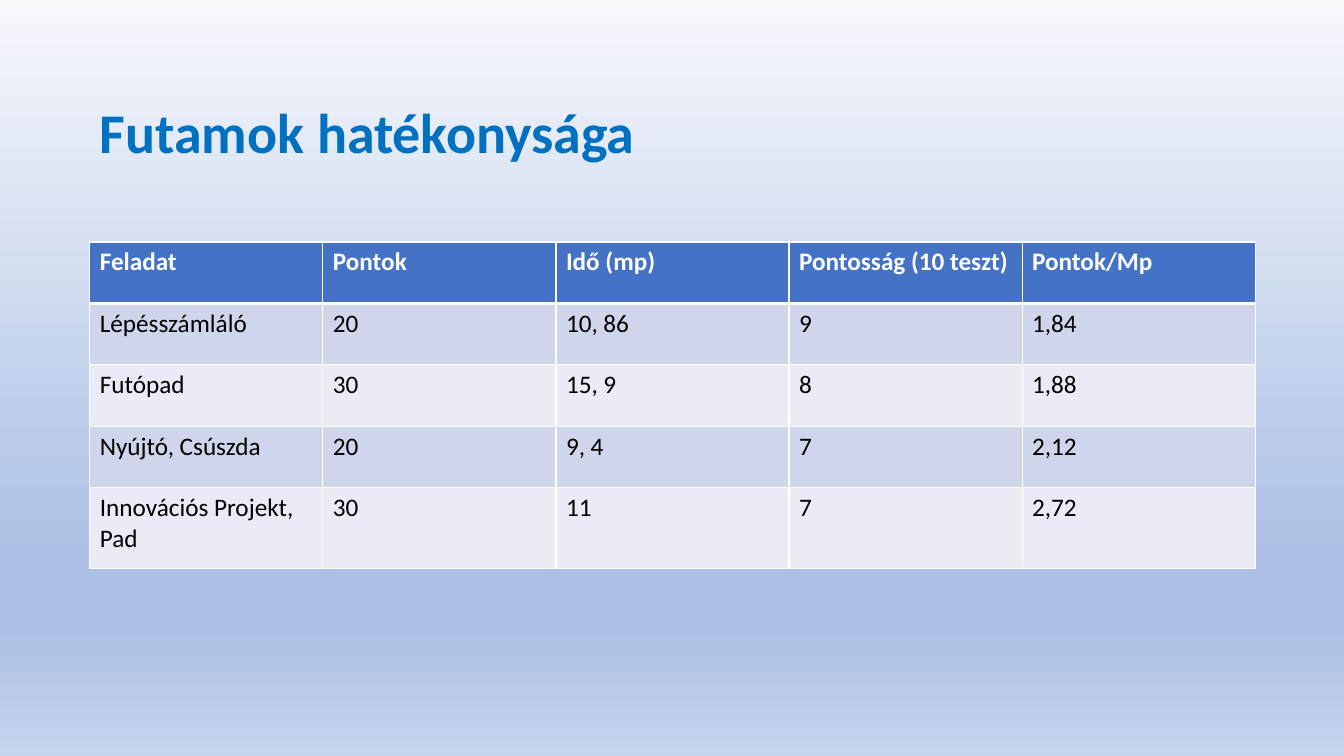
"""Build a slide with a table of run efficiency figures."""
from lxml import etree
from pptx import Presentation
from pptx.dml.color import RGBColor
from pptx.enum import text
from pptx.oxml.ns import qn
from pptx.util import Inches, Pt

HEADING = "Futamok hatékonysága"
RUNS = [
    ("Feladat", "Pontok", "Idő (mp)", "Pontosság (10 teszt)", "Pontok/Mp"),
    ("Lépésszámláló", "20", "10, 86", "9", "1,84"),
    ("Futópad", "30", "15, 9", "8", "1,88"),
    ("Nyújtó, Csúszda", "20", "9, 4", "7", "2,12"),
    ("Innovációs Projekt, Pad", "30", "11", "7", "2,72"),
]
ROW_HEIGHTS = [0.61, 0.61, 0.61, 0.61, 0.8]
BACKDROP = [(0, "F6F8FC"), (74, "ABC0E4"), (83, "ABC0E4"), (100, "C7D5ED")]
HEADER_FILL, BAND_FILLS = "4472C4", ("E9EBF5", "CFD5EA")
LEFT, TABLE_TOP, TABLE_WIDTH = 0.89, 2.4, 11.56


def color(value):
    return RGBColor.from_string(value)


def style_font(font, size, hue, bold):
    font.name, font.size, font.bold = "Calibri", Pt(size), bold
    font.color.rgb = color(hue)


def add_solid(parent, hue):
    fill = etree.SubElement(parent, qn("a:solidFill"))
    etree.SubElement(fill, qn("a:srgbClr"), val=hue)


def add_borders(cell, top, bottom):
    properties = cell._tc.get_or_add_tcPr()
    for side, width in (("L", 1), ("R", 1), ("T", top), ("B", bottom)):
        border = etree.SubElement(properties, qn(f"a:ln{side}"), w=str(Pt(width)))
        add_solid(border, "FFFFFF")


def paint_background(slide):
    fill = slide.background.fill
    fill.gradient()
    fill.gradient_angle = 270
    stops = next(slide._element.iter(qn("a:gsLst")))
    for stop in list(stops):
        stops.remove(stop)
    for percent, hue in BACKDROP:
        stop = etree.SubElement(stops, qn("a:gs"), pos=str(percent * 1000))
        etree.SubElement(stop, qn("a:srgbClr"), val=hue)


def add_heading(slide):
    heading = slide.shapes.title
    heading.left, heading.top = Inches(LEFT), Inches(0.92)
    heading.width, heading.height = Inches(10.34), Inches(0.77)
    frame = heading.text_frame
    frame.text = HEADING
    frame.word_wrap = True
    frame.auto_size = text.MSO_AUTO_SIZE.SHAPE_TO_FIT_TEXT
    frame.vertical_anchor = text.MSO_ANCHOR.TOP
    frame.paragraphs[0].alignment = text.PP_ALIGN.LEFT
    style_font(frame.paragraphs[0].font, 40, "0070C0", True)


def add_runs(slide):
    table = slide.shapes.add_table(
        len(RUNS), len(RUNS[0]), Inches(LEFT), Inches(TABLE_TOP),
        Inches(TABLE_WIDTH), Inches(sum(ROW_HEIGHTS))).table
    for row, height in zip(table.rows, ROW_HEIGHTS):
        row.height = Inches(height)
    for r, values in enumerate(RUNS):
        header = r == 0
        for c, value in enumerate(values):
            cell = table.cell(r, c)
            cell.text = value
            add_borders(cell, 3 if r == 1 else 1, 3 if header else 1)
            cell.fill.solid()
            cell.fill.fore_color.rgb = color(HEADER_FILL if header else BAND_FILLS[r % 2])
            style_font(cell.text_frame.paragraphs[0].font, 18,
                       "FFFFFF" if header else "000000", header)


def main():
    deck = Presentation()
    deck.slide_width, deck.slide_height = Inches(13.33), Inches(7.5)
    slide = deck.slides.add_slide(deck.slide_layouts[5])
    paint_background(slide)
    add_runs(slide)
    add_heading(slide)
    deck.save("out.pptx")


if __name__ == "__main__":
    main()
